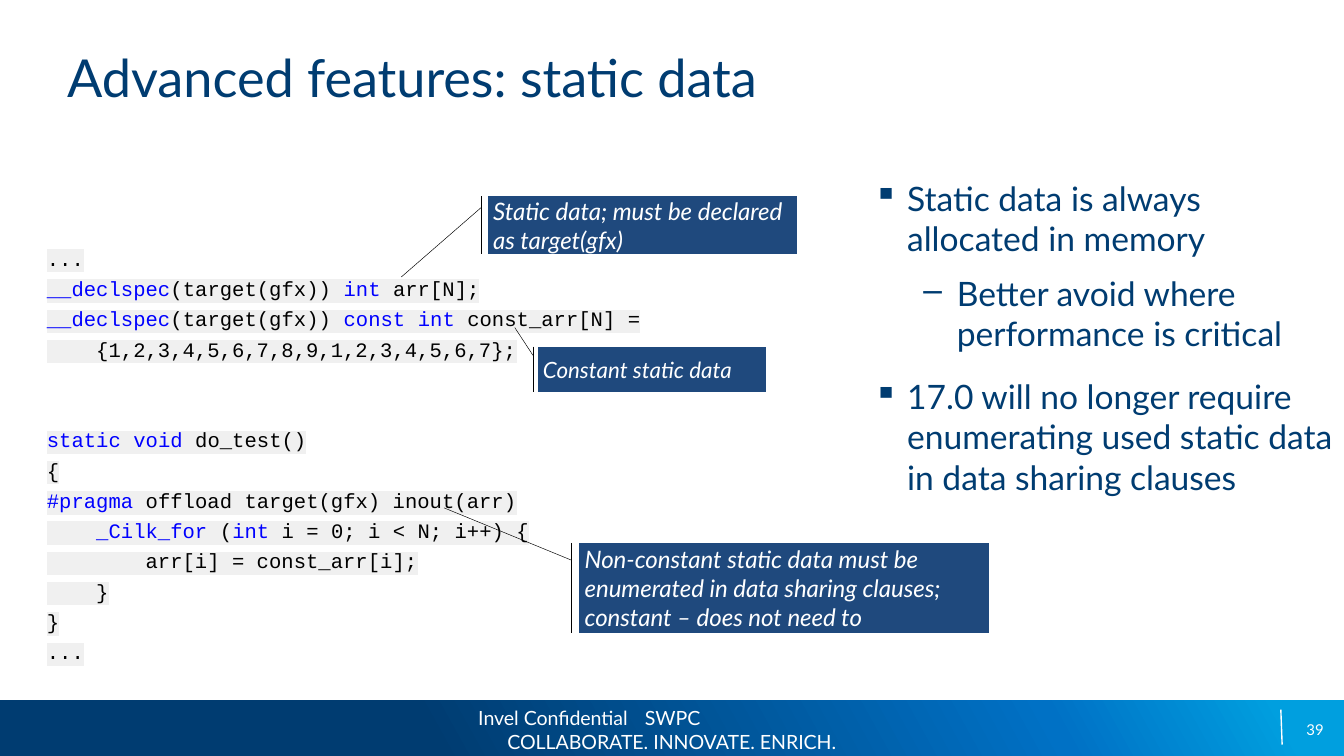
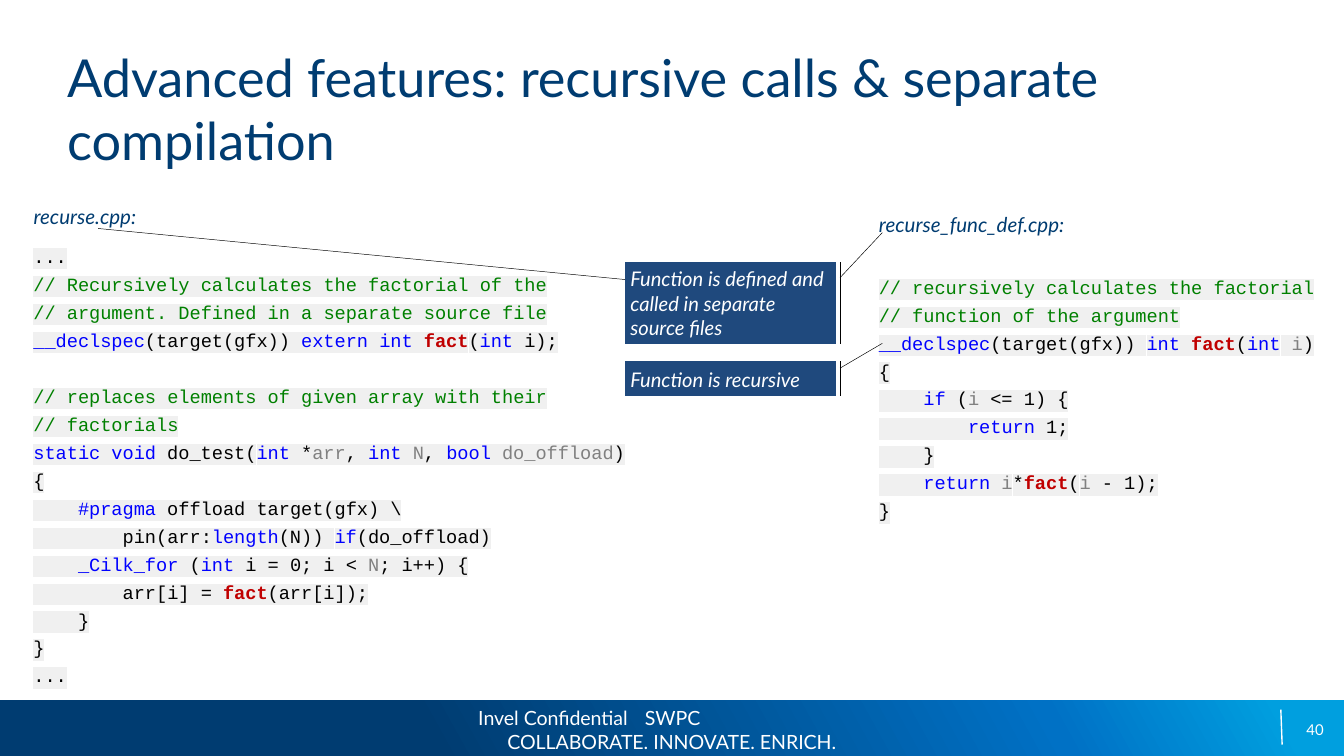
from dataclasses import dataclass

from lxml.etree import SubElement
from pptx import Presentation
from pptx.dml.color import RGBColor
from pptx.enum.shapes import MSO_CONNECTOR, MSO_SHAPE
from pptx.enum.text import MSO_ANCHOR, PP_ALIGN
from pptx.oxml.ns import qn
from pptx.util import Inches, Pt


@dataclass(frozen=True)
class Theme:
    navy: str = "003C71"
    white: str = "FFFFFF"
    black: str = "000000"
    callout: str = "1F497D"
    highlight: str = "F0F0F0"
    band: tuple = ((32, "003C71"), (78, "0071C5"), (95, "009FDF"))
    font: str = "Lato"
    code_font: str = "Courier New"
    title: float = 28
    body: float = 18
    file_name: float = 11
    footer: float = 10.5
    page_number: float = 8
    hairline: float = 0.25
    rule: float = 0.75
    code_gap: float = 3
    code_leading: float = 1.2


THEME = Theme()
# Marks that open and close a coloured stretch of code
CODE_MARKS = {"`": "0000FF", "@": "008000", "^": "808080", "~": "C00000"}
BOLD_MARK = "~"

# The slide is a grid of 100 columns; one cell is a tenth of an inch
COLUMNS, ROWS, CELL = 100, 56.25, 0.1
BAND_TOP = 52.1
FOOTER_TOP, FOOTER_HEIGHT = 52.8, 3
FOOTER_LINES = ("\tInvel Confidential\tSWPC", "COLLABORATE. INNOVATE. ENRICH.")
FOOTER_TABS = (1.5, 13.9)
# Bullet, left margin in columns, space before in points
BULLETS = {1: ("▪", 2.5, 12), 2: ("–", 6.2, 8)}
HANG = 2.5

# Content: places are (left, top, width, height) in cells;
# a callout's pointer is (start y, start x, end y, end x) as shares of its box
SLIDES = [
    {
        "number": "39",
        "title": "Advanced features: static data",
        "code": [((2.5, 17.8, 65.5, 32.4), 11, [
            "...",
            "`__declspec`(target(gfx)) `int` arr[N];",
            "`__declspec`(target(gfx)) `const` `int` const_arr[N] =",
            "    {1,2,3,4,5,6,7,8,9,1,2,3,4,5,6,7};",
            "",
            "",
            "`static` `void` do_test()",
            "{",
            "`#pragma` offload target(gfx) inout(arr)",
            "`    _Cilk_for` (`int` i = 0; i < N; i++) {",
            "        arr[i] = const_arr[i];",
            "    }",
            "}",
            "...",
        ])],
        "bullets": ((65, 13.2, 34.3, 37.5), [
            (1, "Static data is always allocated in memory"),
            (2, "Better avoid where performance is critical"),
            (1, "17.0 will no longer require enumerating used static data "
                "in data sharing clauses"),
        ]),
        "callouts": [
            ((36.3, 14.6, 23, 4.3), (0.19, -0.02, 1.4, -0.28), 12.9,
             "Static data; must be declared as target(gfx)"),
            ((40, 25.8, 17, 3.4), (0.19, -0.02, -0.42, -0.1), 12,
             "Constant static data"),
            ((43.1, 40.4, 30.5, 6.7), (0.19, -0.02, -0.39, -0.33), 12.9,
             "Non-constant static data must be enumerated in data sharing "
             "clauses; constant – does not need to"),
        ],
    },
    {
        "number": "40",
        "title": "Advanced features: recursive calls & separate compilation",
        "code": [
            ((1.5, 17.7, 46.5, 34.2), 10, [
                "...",
                "@// Recursively calculates the factorial of the@",
                "@// argument. Defined in a separate source file@",
                "`__declspec`(target(gfx)) `extern` `int` ~fact~(`int` i);",
                "",
                "@// replaces elements of given array with their@",
                "@// factorials@",
                "`static` `void` do_test(`int` *^arr^, `int` ^N^, "
                "`bool` ^do_offload^)",
                "{",
                "`    #pragma` offload target(gfx) \\",
                "        pin(arr:`length`(N)) `if`(do_offload)",
                "`    _Cilk_for` (`int` i = 0; i < ^N^; i++) {",
                "        arr[i] = ~fact~(arr[i]);",
                "    }",
                "}",
                "...",
            ]),
            ((64.4, 20, 34.8, 19.5), 10, [
                "@// recursively calculates the factorial@",
                "@// function of the argument@",
                "`__declspec`(target(gfx)) `int` ~fact~(`int` ^i^)",
                "{",
                "    `if` (^i^ <= 1) {",
                "        `return` 1;",
                "    }",
                "    `return` ^i^*~fact~(^i^ - 1);",
                "}",
            ]),
        ],
        "file_names": [
            ((2.5, 15.2, 9.6, 1.9), "recurse.cpp:"),
            ((65.4, 15.8, 15.4, 1.9), "recurse_func_def.cpp:"),
        ],
        "callouts": [
            ((46.5, 26.9, 15.7, 2.6), (0.19, 1.02, -0.52, 1.22), 10.8,
             "Function is recursive"),
            ((46.5, 19.5, 15.7, 6.1), (0.19, 1.02, -0.36, 1.22), 10.8,
             "Function is defined and called in separate source files"),
        ],
        "pointers": [((46.5, 20.8), (7.3, 17))],
    },
]


def cells(*values):
    return [Inches(value * CELL) for value in values]


def color(code):
    return RGBColor.from_string(code)


def style(span, size, ink, font=THEME.font, italic=False, bold=False):
    span.font.size, span.font.name = Pt(size), font
    span.font.italic, span.font.bold = italic, bold
    span.font.color.rgb = color(ink)


def set_frame(frame, insets, anchor):
    frame.word_wrap = True
    frame.vertical_anchor = anchor
    frame.margin_left = frame.margin_right = Inches(insets[0])
    frame.margin_top = frame.margin_bottom = Inches(insets[1])


def add_box(page, place, insets=(0, 0), anchor=MSO_ANCHOR.TOP):
    frame = page.shapes.add_textbox(*cells(*place)).text_frame
    set_frame(frame, insets, anchor)
    return frame


def add_text(page, place, text, size, ink=THEME.navy, italic=False,
             align=PP_ALIGN.LEFT, anchor=MSO_ANCHOR.TOP):
    frame = add_box(page, place, anchor=anchor)
    frame.text = text
    frame.paragraphs[0].alignment = align
    style(frame.paragraphs[0].runs[0], size, ink, italic=italic)


def add_line(page, start, end, ink, width):
    line = page.shapes.add_connector(MSO_CONNECTOR.STRAIGHT, *cells(*start, *end))
    line.line.color.rgb, line.line.width = color(ink), Pt(width)
    SubElement(line._element.spPr, qn("a:effectLst"))


def next_paragraph(frame, index):
    return frame.add_paragraph() if index else frame.paragraphs[0]


def add_footer(page, number):
    # Gradient band
    band = page.shapes.add_shape(
        MSO_SHAPE.RECTANGLE, *cells(0, BAND_TOP, COLUMNS, ROWS - BAND_TOP))
    band.shadow.inherit = False
    band.line.fill.background()
    band.fill.gradient()
    band.fill.gradient_angle = 29
    stops = band._element.spPr.find(qn("a:gradFill")).find(qn("a:gsLst"))
    stops.clear()
    for share, ink in THEME.band:
        stop = SubElement(stops, qn("a:gs"), pos=str(share * 1000))
        SubElement(stop, qn("a:srgbClr"), val=ink)
    # Rule and page number
    add_line(page, (95.3, FOOTER_TOP), (95.4, 55.4), THEME.white, THEME.rule)
    add_text(page, (75.2, FOOTER_TOP, 23.3, FOOTER_HEIGHT), number,
             THEME.page_number, THEME.white, align=PP_ALIGN.RIGHT,
             anchor=MSO_ANCHOR.MIDDLE)
    # Footer wording
    frame = add_box(page, (33.1, FOOTER_TOP, 33.8, FOOTER_HEIGHT),
                    (0.1, 0.05), MSO_ANCHOR.MIDDLE)
    for index, text in enumerate(FOOTER_LINES):
        para = next_paragraph(frame, index)
        para.text = text
        para.alignment = PP_ALIGN.LEFT if "\t" in text else PP_ALIGN.CENTER
        style(para.runs[0], THEME.footer, THEME.white)
    tabs = SubElement(frame.paragraphs[0]._p.get_or_add_pPr(), qn("a:tabLst"))
    for column in FOOTER_TABS:
        SubElement(tabs, qn("a:tab"), pos=str(cells(column)[0]), algn="l")


def split_code(line):
    """Yield (text, mark) for each stretch of a marked line of code."""
    text, mark = "", None
    for letter in line:
        if letter in CODE_MARKS:
            if text:
                yield text, mark
            text, mark = "", None if mark else letter
        else:
            text += letter
    if text:
        yield text, mark


def add_code(page, place, size, lines):
    frame = add_box(page, place, (0.1, 0.05))
    leading = size * THEME.code_leading
    skipped = 0
    for index, line in enumerate(lines):
        if not line:
            skipped += 1
            continue
        para = next_paragraph(frame, index)
        para.line_spacing = Pt(leading)
        para.space_before = Pt(
            THEME.code_gap + skipped * (leading + THEME.code_gap))
        skipped = 0
        for text, mark in split_code(line):
            span = para.add_run()
            span.text = text
            style(span, size, CODE_MARKS.get(mark, THEME.black),
                  THEME.code_font, bold=mark == BOLD_MARK)
            properties = span._r.get_or_add_rPr()
            highlight = SubElement(properties, qn("a:highlight"))
            SubElement(highlight, qn("a:srgbClr"), val=THEME.highlight)
            properties.find(qn("a:solidFill")).addnext(highlight)


def add_bullets(page, place, items):
    frame = add_box(page, place)
    for index, (level, text) in enumerate(items):
        mark, margin, gap = BULLETS[level]
        para = next_paragraph(frame, index)
        para.text, para.level = text, level - 1
        para.space_before = Pt(gap)
        style(para.runs[0], THEME.body, THEME.navy)
        properties = para._p.get_or_add_pPr()
        properties.set("marL", str(cells(margin)[0]))
        properties.set("indent", str(cells(-HANG)[0]))
        SubElement(properties, qn("a:buChar"), char=mark)


def add_callout(page, place, pointer, size, text):
    callout = page.shapes.add_shape(
        MSO_SHAPE.LINE_CALLOUT_1_ACCENT_BAR, *cells(*place))
    callout.shadow.inherit = False
    for index, share in enumerate(pointer):
        callout.adjustments[index] = share
    callout.fill.solid()
    callout.fill.fore_color.rgb = color(THEME.callout)
    callout.line.color.rgb = color(THEME.black)
    callout.line.width = Pt(THEME.hairline)
    frame = callout.text_frame
    set_frame(frame, (0.04, 0.03), MSO_ANCHOR.MIDDLE)
    frame.text = text
    frame.paragraphs[0].alignment = PP_ALIGN.LEFT
    style(frame.paragraphs[0].runs[0], size, THEME.white, italic=True)


def build_slide(deck, content):
    page = deck.slides.add_slide(deck.slide_layouts[6])
    add_footer(page, content["number"])
    add_text(page, (5, 3.4, 90, 9.5), content["title"], THEME.title)
    for block in content["code"]:
        add_code(page, *block)
    if "bullets" in content:
        add_bullets(page, *content["bullets"])
    for place, name in content.get("file_names", []):
        add_text(page, place, name, THEME.file_name, italic=True)
    for callout in content["callouts"]:
        add_callout(page, *callout)
    for start, end in content.get("pointers", []):
        add_line(page, start, end, THEME.black, THEME.hairline)


def main():
    deck = Presentation()
    deck.slide_width, deck.slide_height = cells(COLUMNS, ROWS)
    for content in SLIDES:
        build_slide(deck, content)
    deck.save("out.pptx")


if __name__ == "__main__":
    main()
